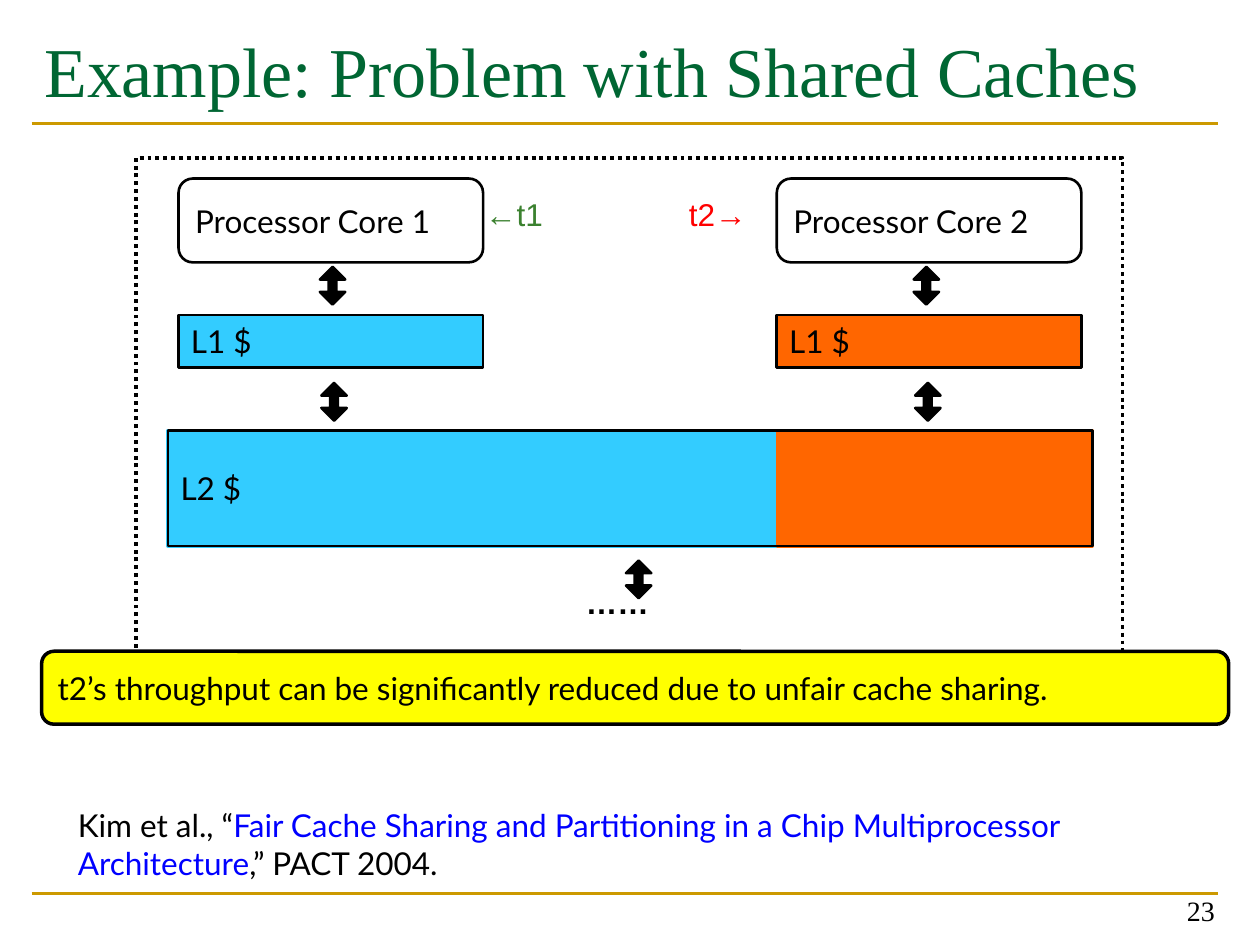
import pptx
import pptx.util
import pptx.dml.color
import pptx.enum.dml
import pptx.enum.shapes
import pptx.enum.text
import pptx.oxml.ns
import lxml.etree

Cm = pptx.util.Cm
Pt = pptx.util.Pt
SHAPE = pptx.enum.shapes.MSO_SHAPE
ANCHOR = pptx.enum.text.MSO_ANCHOR
ALIGN = pptx.enum.text.PP_ALIGN

BLUE, ORANGE, GOLD, YELLOW = "33CCFF", "FF6600", "CC9900", "FFFF00"
BLACK, GREEN, RED, LINK, TITLE = "000000", "3B812F", "FF0000", "0000FF", "006633"


def color(value):
    return pptx.dml.color.RGBColor.from_string(value)


def write(tf, text, size=18, font="Lato", fill=BLACK, bold=False,
          align=ALIGN.LEFT, anchor=ANCHOR.TOP, level=0):
    tf.word_wrap = True
    tf.vertical_anchor = anchor
    p = tf.paragraphs[0]
    p.alignment = align
    p.level = level
    runs = [(text, fill)] if isinstance(text, str) else text
    for part, part_color in runs:
        r = p.add_run()
        r.text = part
        r.font.size = Pt(size)
        r.font.name = font
        r.font.bold = bold
        r.font.color.rgb = color(part_color)


class Slide:
    serif = "Times New Roman"
    sans = "Arial"

    def __init__(self, prs):
        self.s = prs.slides.add_slide(prs.slide_layouts[5])

    def title(self, text, x, y, w, h):
        sp = self.s.shapes.title
        sp.left, sp.top, sp.width, sp.height = Cm(x), Cm(y), Cm(w), Cm(h)
        sp.text_frame.auto_size = pptx.enum.text.MSO_AUTO_SIZE.NONE
        write(sp.text_frame, text, size=40, font=self.serif, fill=TITLE)

    def rule(self, x1, x2, y):
        line = self.s.shapes.add_connector(
            pptx.enum.shapes.MSO_CONNECTOR.STRAIGHT, Cm(x1), Cm(y), Cm(x2), Cm(y))
        line.line.color.rgb = color(GOLD)
        line.line.width = Pt(1.5)
        lxml.etree.SubElement(line._element.spPr, pptx.oxml.ns.qn("a:effectLst"))

    def text(self, text, x, y, w, h, **style):
        sp = self.s.shapes.add_textbox(Cm(x), Cm(y), Cm(w), Cm(h))
        write(sp.text_frame, text, **style)

    def box(self, x, y, w, h, text=None, kind=SHAPE.RECTANGLE, fill=None,
            line=BLACK, width=1.5, dash=None, adjust=()):
        sp = self.s.shapes.add_shape(kind, Cm(x), Cm(y), Cm(w), Cm(h))
        sp.shadow.inherit = False
        for i, value in enumerate(adjust):
            sp.adjustments[i] = value
        if fill:
            sp.fill.solid()
            sp.fill.fore_color.rgb = color(fill)
        else:
            sp.fill.background()
        sp.line.color.rgb = color(line)
        sp.line.width = Pt(width)
        if dash:
            sp.line.dash_style = dash
        if text:
            write(sp.text_frame, text, anchor=ANCHOR.MIDDLE)

    def round_box(self, x, y, w, h, text, **style):
        self.box(x, y, w, h, text, kind=SHAPE.ROUNDED_RECTANGLE,
                 adjust=(0.17,), **style)

    def arrow(self, x, y):
        self.box(x, y, 0.51, 0.76, kind=SHAPE.UP_DOWN_ARROW,
                 fill=BLACK, adjust=(0.5, 0.3))


def main():
    prs = pptx.Presentation()
    prs.slide_width, prs.slide_height = Cm(25.4), Cm(19.05)
    slide = Slide(prs)

    slide.title("Example: Problem with Shared Caches", 0.64, 0.43, 23.93, 2.97)
    for y in (18.01, 2.49):
        slide.rule(0.64, 24.56, y)
    slide.text("23", 18.82, 17.55, 5.92, 1.27, size=16, font=slide.serif,
               align=ALIGN.RIGHT, anchor=ANCHOR.BOTTOM)

    l2_x, l2_y, l2_w, l2_h, split = 3.39, 8.68, 18.63, 2.33, 12.28
    slide.box(l2_x, l2_y, split, l2_h, fill=BLUE, line=BLUE, width=2)
    slide.box(l2_x + split, l2_y, l2_w - split, l2_h, fill=ORANGE, line=ORANGE, width=2)
    slide.box(l2_x, l2_y, l2_w, l2_h, "L2 $")
    slide.text("……", 11.56, 11.63, 2.62, 1.27, font=slide.sans, bold=True)
    slide.box(2.74, 3.18, 19.89, 10.36, width=2.25,
              dash=pptx.enum.dml.MSO_LINE.ROUND_DOT)

    cores = [("Processor Core 1", 3.6, 6.45, BLUE),
             ("Processor Core 2", 15.66, 18.42, ORANGE)]
    for name, x, arrow_x, fill in cores:
        slide.round_box(x, 3.6, 6.14, 1.69, name)
        slide.arrow(arrow_x, 5.38)
        slide.box(x, 6.35, 6.14, 1.06, "L1 $", fill=fill)
        slide.arrow(arrow_x + 0.03, 7.72)
    slide.arrow(12.62, 11.3)

    for name, x, fill in (("←t1", 9.53, GREEN), ("t2→", 13.64, RED)):
        slide.text(name, x, 3.81, 2.24, 1.27, font=slide.sans, fill=fill)

    slide.round_box(
        0.84, 13.13, 23.93, 1.47,
        "t2’s throughput can be significantly reduced due to unfair cache sharing.",
        fill=YELLOW, width=2)
    slide.text(
        [("Kim et al., “", BLACK),
         ("Fair Cache Sharing and Partitioning in a Chip Multiprocessor Architecture", LINK),
         (",” PACT 2004.", BLACK)],
        0.05, 16.13, 24.43, 1.8, level=1)

    prs.save("out.pptx")


if __name__ == "__main__":
    main()
